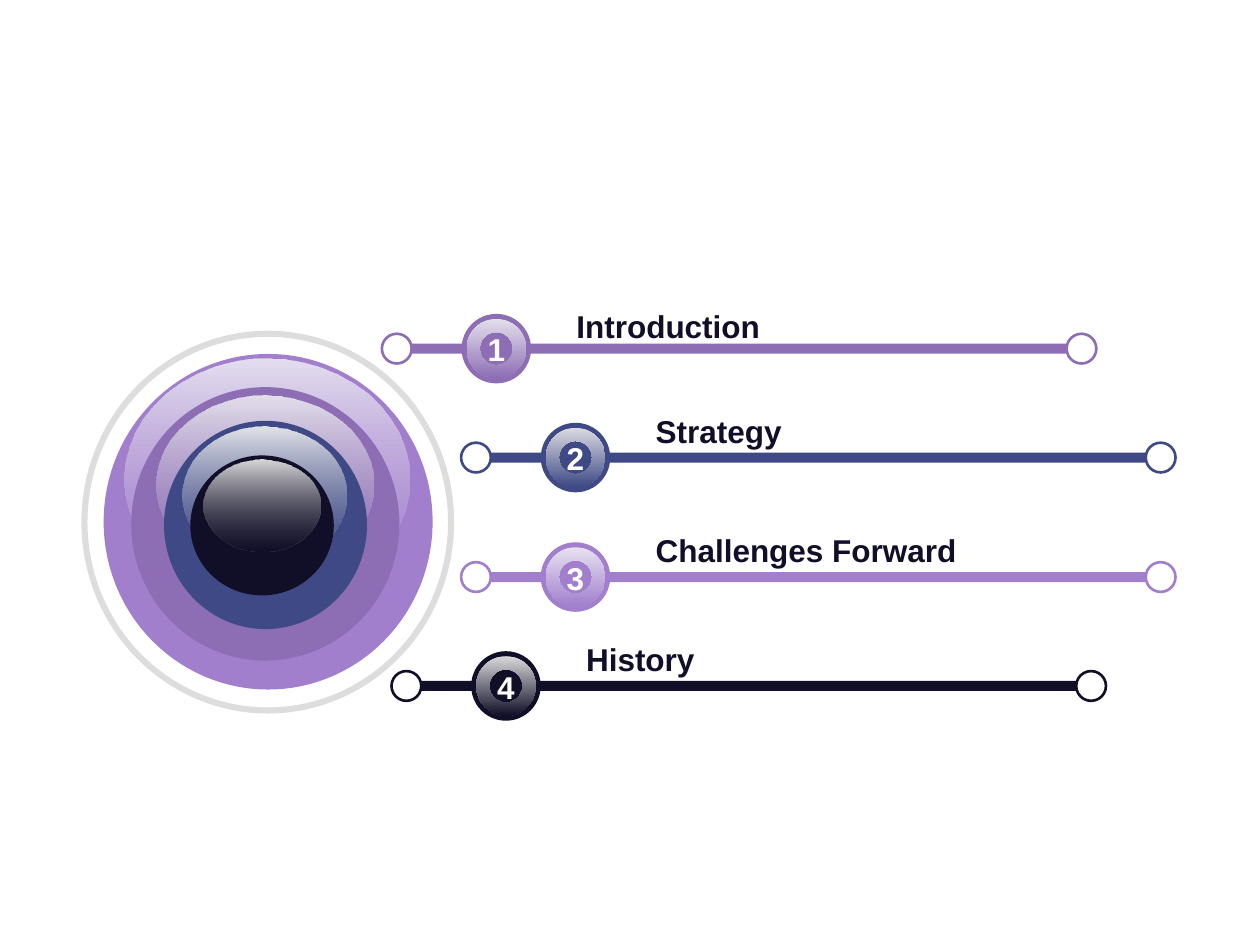
"""Build an agenda slide with four numbered bars beside nested glossy orbs."""
from dataclasses import dataclass
from typing import Any

import lxml.etree
import pptx
import pptx.dml.color
import pptx.enum.shapes
import pptx.enum.text
import pptx.oxml.ns
import pptx.util

Kind = pptx.enum.shapes.MSO_SHAPE
Align = pptx.enum.text.PP_ALIGN
Pt = pptx.util.Pt
DARK, WHITE = "110F27", "FFFFFF"


@dataclass
class Row:
    label: str
    left: float
    mid: float
    lift: float
    tone: str
    light: str


@dataclass
class Orb:
    box: tuple[float, float, float, float]
    gloss: tuple[float, float, float, float]
    tone: str
    light: str


ROWS = [
    Row("Introduction", 218.25, 199.25, 31.5, "8D6EB5", "E4DFEB"),
    Row("Strategy", 263.5, 261.5, 33.75, "3E4985", "DBDBE2"),
    Row("Challenges Forward", 263.5, 329.75, 33.75, "A17FCC", "E7E1F1"),
    Row("History", 223.75, 392, 33.75, DARK, "D9D9DA"),
]
ORBS = [
    Orb((59.25, 202.25, 188, 191.75), (71.25, 204.75, 163, 138), "A17FCC", "E5DFF0"),
    Orb((75, 221.25, 153.25, 156.25), (89.25, 225.75, 124, 102.25), "8D6EB5", "E4DFEB"),
    Orb((93.75, 240.5, 116, 119), (104.25, 243.75, 94, 78.5), "3E4985", "E3E4E9"),
    Orb((108.75, 260.25, 82, 80), (116.25, 262.5, 67, 52.75), DARK, "D9D9DA"),
]


def paint(fmt: Any, tone: str) -> None:
    """Set the colour of a font, or of a fill made solid first."""
    if hasattr(fmt, "solid"):
        fmt.solid()
        fmt.fore_color.rgb = pptx.dml.color.RGBColor.from_string(tone)
    else:
        fmt.color.rgb = pptx.dml.color.RGBColor.from_string(tone)


def draw(slide: Any, kind: Any, x: float, y: float, w: float, h: float,
         tone: str = "", edge: str = "", thick: float = 1.5) -> Any:
    """Add a preset shape without shadow, with optional fill and line."""
    shape = slide.shapes.add_shape(kind, Pt(x), Pt(y), Pt(w), Pt(h))
    shape.shadow.inherit = False
    if tone:
        paint(shape.fill, tone)
    else:
        shape.fill.background()
    if edge:
        paint(shape.line.fill, edge)
        shape.line.width = Pt(thick)
    else:
        shape.line.fill.background()
    return shape


def shade(shape: Any, light: str, tone: str, alpha: int = 100) -> None:
    """Fill from light at the top to tone at the foot, with its opacity."""
    shape.fill.gradient()
    shape.fill.gradient_angle = 270
    for stop, shown in zip(shape.fill.gradient_stops, (light, tone)):
        stop.color.rgb = pptx.dml.color.RGBColor.from_string(shown)
    if alpha < 100:
        qn = pptx.oxml.ns.qn
        last = list(shape._element.spPr.iter(qn("a:srgbClr")))[-1]
        lxml.etree.SubElement(last, qn("a:alpha")).set("val", str(alpha * 1000))


def write(slide: Any, text: str, x: float, y: float, w: float, h: float,
          tone: str, align: Any) -> None:
    """Add a line of bold text in a clear rounded box."""
    frame = draw(slide, Kind.ROUNDED_RECTANGLE, x, y, w, h).text_frame
    frame.word_wrap = False
    frame.vertical_anchor = pptx.enum.text.MSO_ANCHOR.MIDDLE
    para = frame.paragraphs[0]
    para.alignment = align
    run = para.add_run()
    run.text = text
    run.font.name = "Arial"
    run.font.size = Pt(18)
    run.font.bold = True
    paint(run.font, tone)


def draw_row(slide: Any, rank: int, row: Row) -> None:
    """Draw one label, its bar, end dots and numbered ball."""
    x, y = row.left, row.mid
    write(slide, row.label, x + 102.25, y - row.lift, 283.5, 36.75, DARK, Align.LEFT)
    draw(slide, Kind.RECTANGLE, x + 11.5, y - 2.88, 385.25, 5.75, row.tone)
    draw(slide, Kind.OVAL, x + 45.5, y - 19.88, 39.75, 39.75, row.tone)
    for gap in (0, 391.25):
        draw(slide, Kind.OVAL, x + gap, y - 8.5, 17, 17, WHITE, row.tone)
    write(slide, str(rank), x + 45.5, y - 18.25, 39.75, 37.25, WHITE, Align.CENTER)
    ring = draw(slide, Kind.DONUT, x + 48.38, y - 17, 34, 34)
    ring.adjustments[0] = 0.22
    shade(ring, row.light, row.tone)


def draw_orb(slide: Any, orb: Orb) -> None:
    """Draw one disc and the gloss on it."""
    draw(slide, Kind.OVAL, *orb.box, orb.tone)
    shade(draw(slide, Kind.OVAL, *orb.gloss), orb.light, orb.tone, 37)


def main() -> None:
    """Build and save the slide."""
    deck = pptx.Presentation()
    deck.slide_width, deck.slide_height = Pt(720), Pt(540)
    slide = deck.slides.add_slide(deck.slide_layouts[6])
    for rank, row in enumerate(ROWS, 1):
        draw_row(slide, rank, row)
    draw(slide, Kind.OVAL, 48.25, 190.75, 209.5, 215.25, WHITE, "DDDDDD", 3.5)
    for orb in ORBS:
        draw_orb(slide, orb)
    deck.save("out.pptx")


if __name__ == "__main__":
    main()
